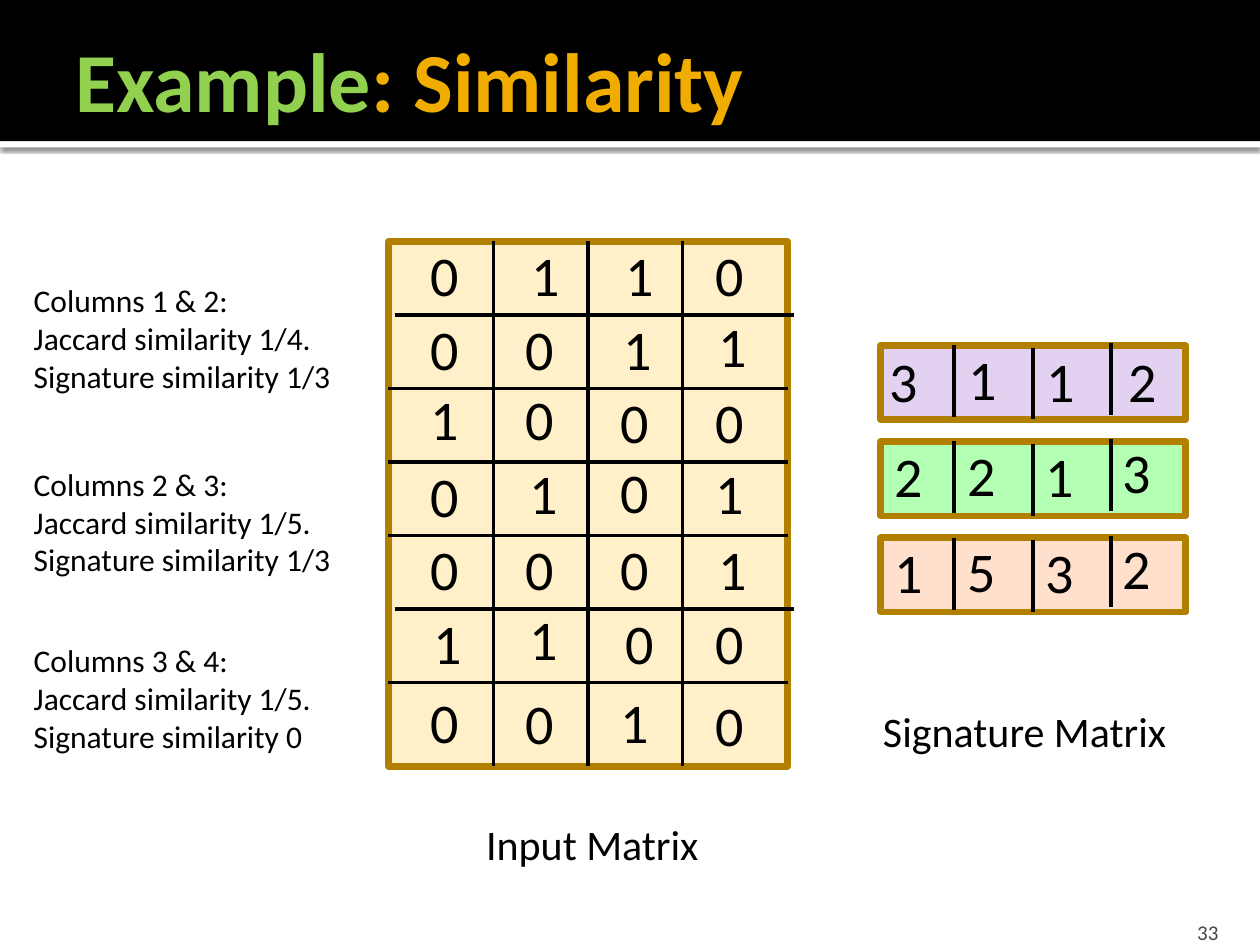
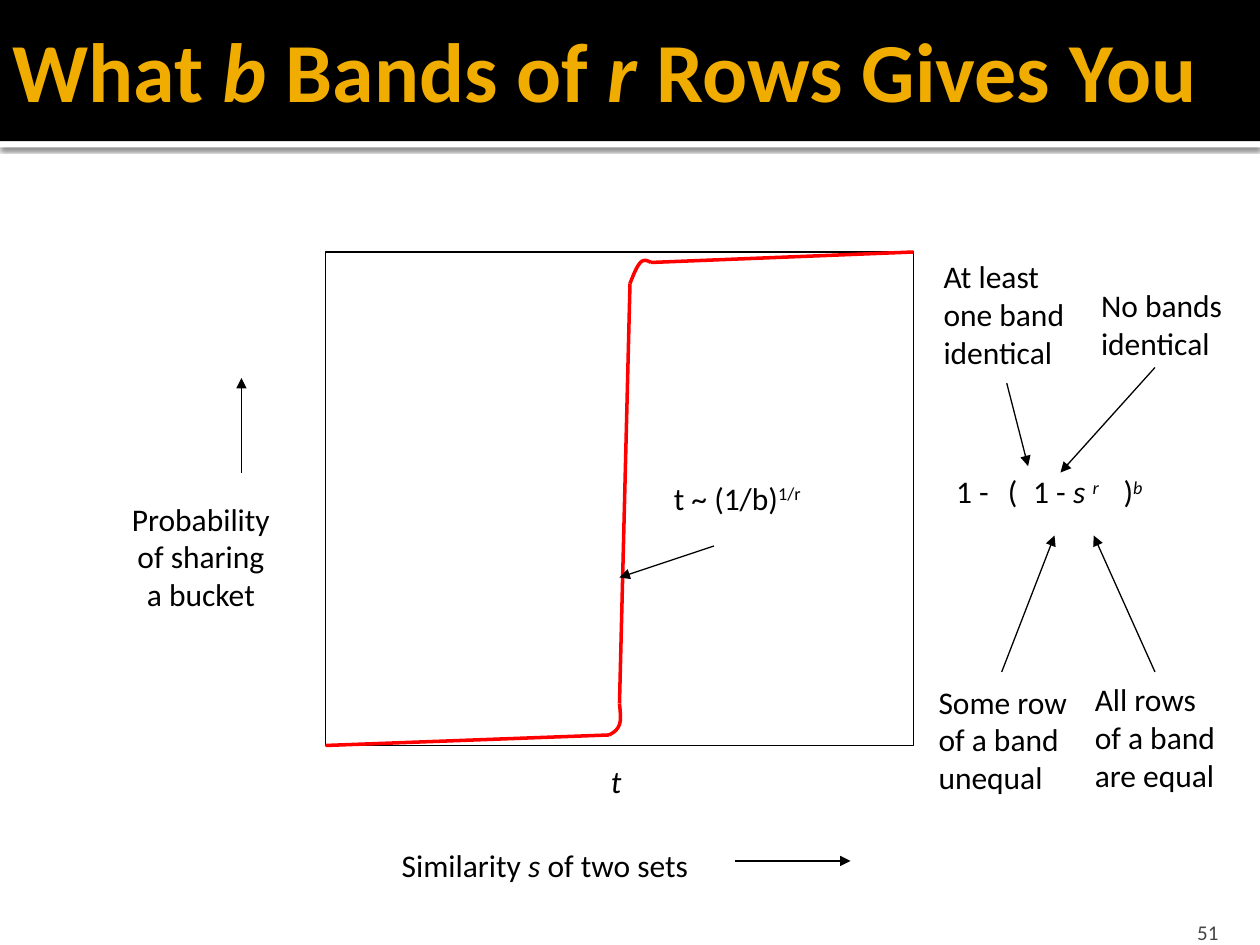
from lxml import etree
from pptx import Presentation
from pptx import util as u
from pptx.dml.color import RGBColor
from pptx.enum import shapes, text
from pptx.oxml import ns

FONT = "Calibri"
BLACK, WHITE, RED = "000000", "FFFFFF", "FF0000"
GOLD, GREEN, GREY = "F0AD00", "92D050", "454545"
FRAME, CREAM = "B28000", "FFF0C9"
LEFT, CENTER, RIGHT = text.PP_ALIGN.LEFT, text.PP_ALIGN.CENTER, text.PP_ALIGN.RIGHT

SIMILARITY = {
    "title": [("Example", {"color": GREEN}), (": Similarity", {})],
    "title_box": (36, 12.2, 684, 66.2),
    "number": "33",
}
BANDS = {
    "title": [("What ", {}), ("b", {"italic": True}), (" Bands of ", {}),
              ("r", {"italic": True}), (" Rows Gives You", {})],
    "title_box": (0, -5.8, 720, 90),
    "number": "51",
}

INPUT_ROWS = ["0110", "0011", "1000", "0101", "0001", "1100", "0010"]
INPUT_NUDGES = {
    (0, 1): (3.6, 0), (0, 2): (3, 0), (1, 2): (1.5, 0), (1, 3): (1.5, -1.5),
    (2, 0): (0, -2), (2, 1): (0, -1.5), (3, 1): (2, -1.5), (3, 2): (0, -2),
    (3, 3): (0, -1.5), (4, 3): (1.5, 0), (5, 0): (1.5, 0), (5, 1): (2, -2),
    (5, 2): (3, 0), (6, 0): (0, 3.5), (6, 1): (0, 4), (6, 2): (0, 3.5), (6, 3): (0, 5),
}
SIGNATURE_ROWS = [("3112", "E3D1F1"), ("2213", "B3FFB3"), ("1532", "FFE0CC")]
SIGNATURE_COLUMNS = [(504, -3.5), (546, -4.3), (590.4, -3.5), (634.3, -5.8)]
SIGNATURE_NUDGES = {(0, 0): (-3, 0.5), (0, 1): (0.5, 0.5), (0, 2): (0.5, 0.5), (0, 3): (3.6, 3)}
SIGNATURE_DIVIDERS = [(545, 0), (590.4, 1.3), (635, -1.3)]
MATRIX_LABELS = [("Input Matrix", (270.7, 464.4, 136.8, 36)),
                 ("Signature Matrix", (497.5, 399.6, 182.2, 36))]
COMPARISONS = [("1 & 2", "1/4.", "1/3", 157, 185.8),
               ("2 & 3", "1/5.", "1/3", 262, 185.8),
               ("3 & 4", "1/5.", "0", 362.9, 173.5)]

PLOT = (186, 144, 336, 282)
CURVE_LINES = [(186, 426, 348, 420), (354, 402, 360, 162), (372, 150, 522, 144)]
CURVE_BENDS = [
    [(348, 420), (350.8, 418.6), (352.9, 417), (354, 414),
     (355, 411), (354.5, 407), (354, 402)],
    [(360, 162), (362, 157), (364, 152), (366, 150),
     (368, 148), (370, 149), (372, 150)],
]
ARROWS = [(420, 492, 486, 492), (138, 270, 138, 216), (660, 384, 625, 306),
          (572.4, 384, 602.6, 306), (660, 210, 606, 270), (575.3, 219, 587.5, 266.4),
          (408, 312, 354, 330)]
ITALIC = {"italic": True}
NOTES = [
    ([[("Similarity ", {}), ("s", ITALIC), (" of two sets", {})]], (211.7, 480, 199.4, 29), CENTER),
    (["Probability", "of sharing", "a bucket"], (66.2, 282, 97.2, 72), CENTER),
    ([[("t", ITALIC)]], (342, 432, 20.2, 29), CENTER),
    ([[("s ", ITALIC), ("r", {"italic": True, "raised": True})]], (606.2, 266.4, 43.2, 36), LEFT),
    (["All rows", "of a band", "are equal"], (618.5, 385.2, 90, 72), LEFT),
    (["1 -"], (583.2, 266.4, 43.9, 36), LEFT),
    (["Some row", "of a band", "unequal"], (529.2, 386.6, 94.3, 72), LEFT),
    (["("], (568.8, 266.4, 23.8, 36), LEFT),
    ([[(")", {}), ("b", {"italic": True, "raised": True})]], (635, 266.4, 37.4, 36), LEFT),
    (["No bands", "identical"], (622.1, 159.8, 89.3, 50.4), LEFT),
    (["1 -"], (539.3, 266.4, 43.9, 36), LEFT),
    (["At least", "one band", "identical"], (532.1, 143.3, 88.6, 72), LEFT),
    ([[("t ~ (1/b)", {}), ("1/r", {"raised": True})]], (378, 270, 134.6, 36), LEFT),
]


def points(values):
    return [u.Pt(value) for value in values]


def rgb(color):
    return RGBColor.from_string(color)


def style_shape(shape, fill=None, line=None, width=0.75):
    shape.shadow.inherit = False
    if fill:
        shape.fill.solid()
        shape.fill.fore_color.rgb = rgb(fill)
    else:
        shape.fill.background()
    if line:
        shape.line.color.rgb = rgb(line)
        shape.line.width = u.Pt(width)
    else:
        shape.line.fill.background()


def add_box(slide, box, fill=None, line=None, width=0.75):
    shape = slide.shapes.add_shape(shapes.MSO_SHAPE.RECTANGLE, *points(box))
    style_shape(shape, fill, line, width)
    return shape


def add_line(slide, ends, color=BLACK, width=0.75, arrow=False):
    connector = slide.shapes.add_connector(shapes.MSO_CONNECTOR.STRAIGHT, *points(ends))
    connector.line.color.rgb = rgb(color)
    connector.line.width = u.Pt(width)
    if arrow:
        etree.SubElement(connector.line._get_or_add_ln(), ns.qn("a:tailEnd"), type="triangle")
    etree.SubElement(connector._element.spPr, ns.qn("a:effectLst"))


def add_text(slide, box, paragraphs, size, color=BLACK, align=LEFT, bold=False):
    shape = slide.shapes.add_textbox(*points(box))
    frame = shape.text_frame
    frame.word_wrap = False
    frame.auto_size = text.MSO_AUTO_SIZE.SHAPE_TO_FIT_TEXT
    for index, runs in enumerate(paragraphs):
        paragraph = frame.add_paragraph() if index else frame.paragraphs[0]
        paragraph.alignment = align
        for words, style in [(runs, {})] if isinstance(runs, str) else runs:
            run = paragraph.add_run()
            run.text = words
            run.font.name = FONT
            run.font.size = u.Pt(size)
            run.font.bold = bold
            run.font.italic = style.get("italic", False)
            run.font.color.rgb = rgb(style.get("color", color))
            if style.get("raised"):
                run._r.get_or_add_rPr().set("baseline", "30000")
    return frame


def add_fixed_text(slide, box, paragraphs, size, color, anchor, margins, **options):
    frame = add_text(slide, box, paragraphs, size, color, **options)
    frame.word_wrap = True
    frame.auto_size = text.MSO_AUTO_SIZE.NONE
    frame.vertical_anchor = anchor
    (frame.margin_left, frame.margin_top,
     frame.margin_right, frame.margin_bottom) = points(margins)


def add_digit(slide, digit, left, top, nudge):
    width = 28.8 if digit == "1" else 31
    add_text(slide, (left + nudge[0], top + nudge[1], width, 46), [digit], 32)


def add_bend(slide, controls):
    curve = [controls[0]]
    for start in (0, 3):
        a, b, c, d = controls[start:start + 4]
        for step in range(1, 9):
            t = step / 8
            weights = ((1 - t) ** 3, 3 * t * (1 - t) ** 2, 3 * t * t * (1 - t), t ** 3)
            curve.append(tuple(sum(w * p[axis] for w, p in zip(weights, (a, b, c, d)))
                               for axis in (0, 1)))
    vertices = [points(point) for point in curve]
    builder = slide.shapes.build_freeform(*vertices[0], scale=1.0)
    builder.add_line_segments(vertices[1:], close=False)
    style_shape(builder.convert_to_shape(), line=RED, width=2)


def start_slide(presentation, content):
    slide = presentation.slides.add_slide(presentation.slide_layouts[6])
    strip = add_box(slide, (0, 80.64, 720, 3.6), WHITE)
    shadow = etree.SubElement(strip._element.spPr.find(ns.qn("a:effectLst")), ns.qn("a:outerShdw"),
                              blurRad=str(u.Pt(2.5)), dist=str(u.Pt(0.8)), dir="5400000",
                              algn="tl", rotWithShape="0")
    shade = etree.SubElement(shadow, ns.qn("a:srgbClr"), val=BLACK)
    etree.SubElement(shade, ns.qn("a:alpha"), val="60000")
    add_box(slide, (0, 0, 720, 80.64), BLACK)
    add_fixed_text(slide, content["title_box"], [content["title"]], 48, GOLD,
                   text.MSO_ANCHOR.MIDDLE, (7.2, 3.6, 3.6, 3.6), bold=True)
    add_fixed_text(slide, (645.8, 518.4, 57.6, 21.6), [content["number"]], 12, GREY,
                   text.MSO_ANCHOR.BOTTOM, (7.2, 3.6, 7.2, 0), align=RIGHT)
    return slide


def build_similarity(presentation):
    slide = start_slide(presentation, SIMILARITY)
    left, top, width, height, row_step = 222, 138, 228, 300, 42
    add_box(slide, (left, top, width, height), CREAM, FRAME, 3.78)
    for row in range(6):
        y = top + row_step * (row + 1)
        shift = 3.5 if row % 4 == 0 else 0
        add_line(slide, (left + shift, y, left + width + shift, y), width=2.25)
    for column in range(3):
        x = left + 60 + 54 * column
        add_line(slide, (x, top, x, top + height), width=2.25)
    for row, digits in enumerate(INPUT_ROWS):
        for column, digit in enumerate(digits):
            add_digit(slide, digit, 239 + 54.25 * column, 133.9 + row_step * row,
                      INPUT_NUDGES.get((row, column), (0, 0)))
    for row, (digits, fill) in enumerate(SIGNATURE_ROWS):
        bar_top = 197.3 + 55 * row
        add_box(slide, (503.3, bar_top, 174.2, 42.5), fill, FRAME, 3.78)
        for x, offset in SIGNATURE_DIVIDERS:
            add_line(slide, (x, bar_top + offset, x, bar_top + offset + 41), width=2.25)
        for column, digit in enumerate(digits):
            x, offset = SIGNATURE_COLUMNS[column]
            add_digit(slide, digit, x, bar_top + offset,
                      SIGNATURE_NUDGES.get((row, column), (0, 0)))
    for label, box in MATRIX_LABELS:
        add_text(slide, box, [label], 24)
    for columns, jaccard, signature, y, box_width in COMPARISONS:
        add_text(slide, (12.2, y, box_width, 72.7),
                 [f"Columns {columns}:", f"Jaccard similarity {jaccard}",
                  f"Signature similarity {signature}"], 18)


def build_bands(presentation):
    slide = start_slide(presentation, BANDS)
    add_box(slide, PLOT, line=BLACK)
    for ends in CURVE_LINES:
        add_line(slide, ends, RED, 2)
    for controls in CURVE_BENDS:
        add_bend(slide, controls)
    for ends in ARROWS:
        add_line(slide, ends, arrow=True)
    for paragraphs, box, align in NOTES:
        add_text(slide, box, paragraphs, 18, align=align)


def main():
    presentation = Presentation()
    presentation.slide_width, presentation.slide_height = points((720, 540))
    build_similarity(presentation)
    build_bands(presentation)
    presentation.save("out.pptx")


if __name__ == "__main__":
    main()
